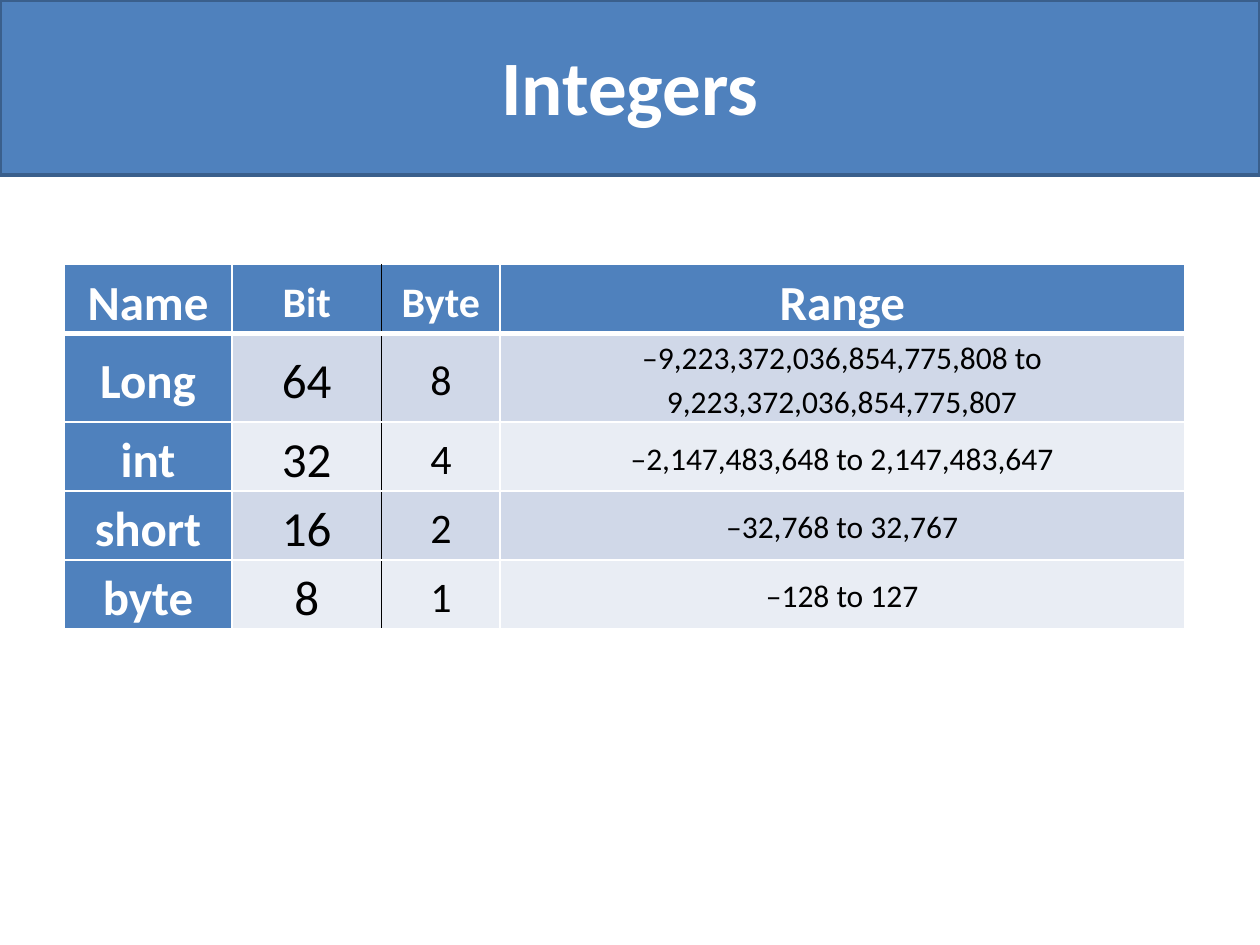
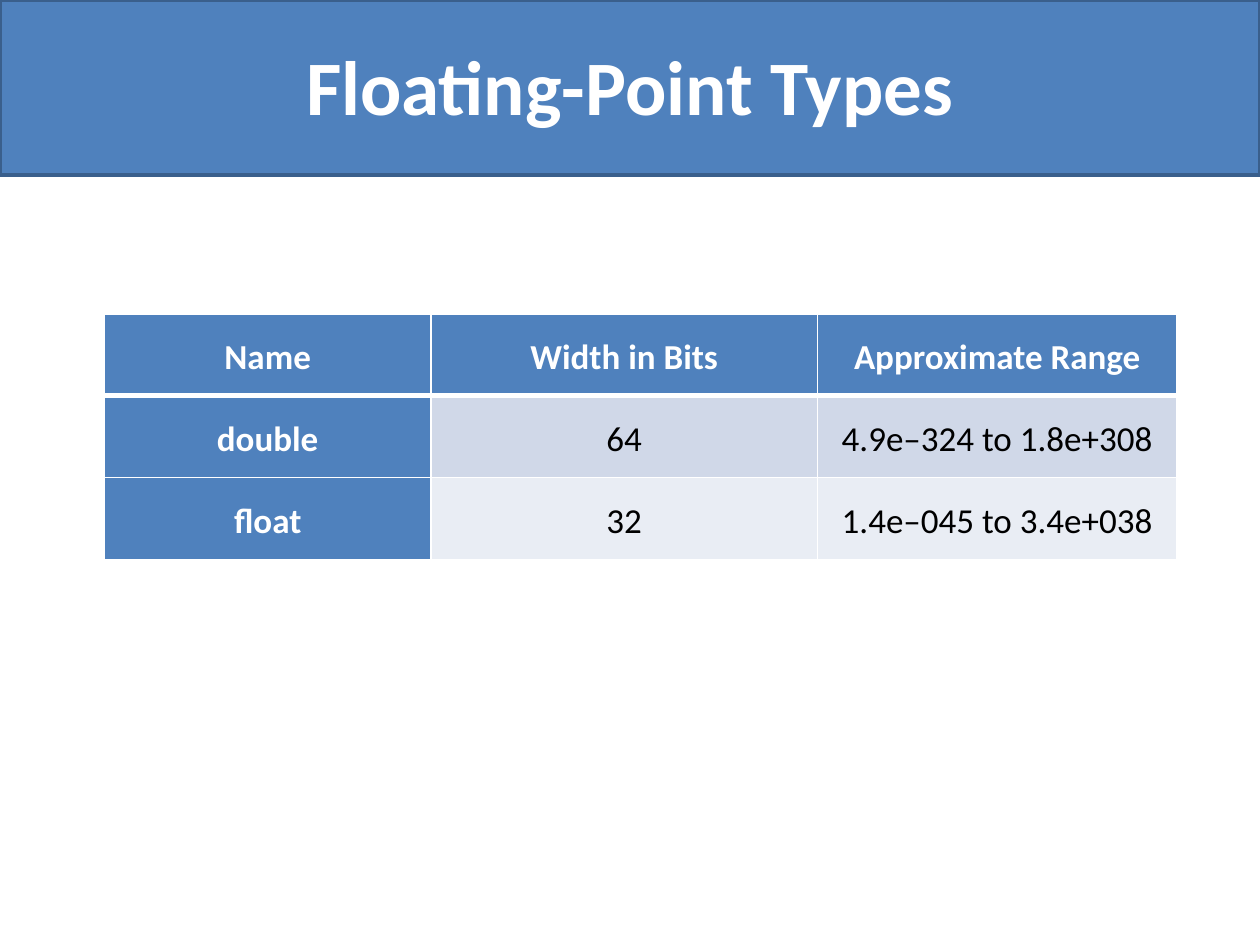
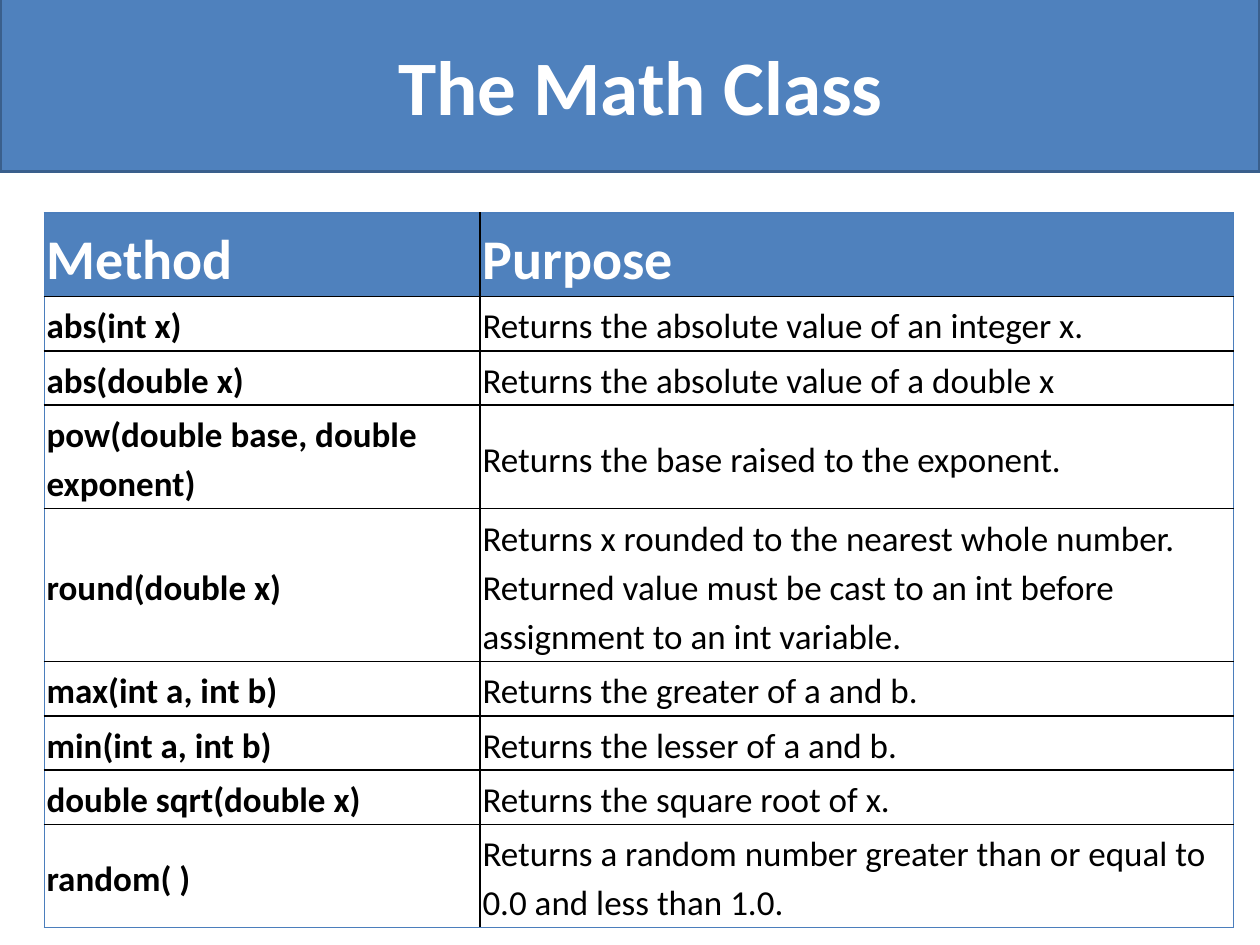
from lxml import etree
from pptx import Presentation
from pptx import util as u
from pptx.dml.color import RGBColor
from pptx.enum import shapes, text
from pptx.oxml import ns

# Shared style
FONT = "Calibri"
BLUE, EDGE, RULE = "4F81BD", "3A5F8C", "4B7EBC"
WHITE, BLACK = "FFFFFF", "000000"
BANDS = ["D0D8E8", "E9EDF4"]
CENTER, LEFT = text.PP_ALIGN.CENTER, text.PP_ALIGN.LEFT
TITLE_ONLY = 5


def color(value):
    return RGBColor.from_string(value)


def format_text(paragraph, size, ink, bold, align, spacing=None):
    paragraph.alignment = align
    if spacing:
        paragraph.line_spacing = spacing
    values = {"name": FONT, "size": u.Pt(size), "bold": bold}
    for run in paragraph.runs:
        for name, value in values.items():
            setattr(run.font, name, value)
        run.font.color.rgb = color(ink)


def add_border(cell, side, ink, width):
    properties = cell._tc.get_or_add_tcPr()
    line = etree.SubElement(properties, ns.qn(f"a:ln{side}"), w=str(u.Pt(width)))
    fill = etree.SubElement(line, ns.qn("a:solidFill"))
    etree.SubElement(fill, ns.qn("a:srgbClr"), val=ink)


class Deck:
    def __init__(self):
        self.presentation = Presentation()
        self.presentation.slide_width = u.Inches(10)
        self.presentation.slide_height = u.Inches(7.5)
        self.slide = None

    def add_slide(self, title, band_top=0):
        layout = self.presentation.slide_layouts[TITLE_ONLY]
        self.slide = self.presentation.slides.add_slide(layout)
        self.title(title, self.band(band_top))

    def band(self, top):
        band = self.slide.shapes.add_shape(
            shapes.MSO_SHAPE.RECTANGLE, 0, u.Inches(top), u.Inches(10), u.Inches(1.39))
        band.shadow.inherit = False
        band.fill.solid()
        band.fill.fore_color.rgb = color(BLUE)
        band.line.color.rgb = color(EDGE)
        band.line.width = u.Pt(2)
        return band

    def title(self, words, band):
        title = self.slide.shapes.title
        place = {"left": 0.5, "top": 0.05, "width": 9, "height": 1.25}
        for name, value in place.items():
            setattr(title, name, u.Inches(value))
        title.text_frame.text = words
        title.text_frame.vertical_anchor = text.MSO_ANCHOR.MIDDLE
        paragraph = title.text_frame.paragraphs[0]
        format_text(paragraph, 44, WHITE, True, CENTER)
        paragraph._p.get_or_add_pPr().set("rtl", "1")
        # The band lies behind the title
        title.element.addprevious(band.element)

    def table(self, left, top, widths, heights, rows, style, verticals, horizontals,
              inset, align):
        """Lines are (colour, width), one for each grid line; style maps a cell to its look."""
        frame = self.slide.shapes.add_table(
            len(rows), len(widths), u.Inches(left), u.Inches(top),
            u.Inches(sum(widths)), u.Inches(sum(heights)))
        table = frame.table
        table.first_row = table.horz_banding = False
        for column, width in zip(table.columns, widths):
            column.width = u.Inches(width)
        for row, height in zip(table.rows, heights):
            row.height = u.Inches(height)

        across, down = inset
        values = {"margin_left": u.Inches(across), "margin_right": u.Inches(across),
                  "margin_top": u.Inches(down), "margin_bottom": u.Inches(down),
                  "vertical_anchor": text.MSO_ANCHOR.MIDDLE}
        for r, words in enumerate(rows):
            for c, word in enumerate(words):
                cell = table.cell(r, c)
                cell.text = word
                for name, value in values.items():
                    setattr(cell, name, value)
                sides = {"L": verticals[c], "R": verticals[c + 1],
                         "T": horizontals[r], "B": horizontals[r + 1]}
                for side, line in sides.items():
                    add_border(cell, side, *line)
                fill, size, ink, bold = style(r, c)
                if fill:
                    cell.fill.solid()
                    cell.fill.fore_color.rgb = color(fill)
                else:
                    cell.fill.background()
                format_text(cell.text_frame.paragraphs[0], size, ink, bold, align, 1.15)

    def type_table(self, left, top, widths, height, rows, head_sizes, body_sizes, verticals):
        """Banded table with a blue header row and a blue first column."""
        def style(r, c):
            size = body_sizes[c] if r else head_sizes[c]
            if r == 0 or c == 0:
                return BLUE, size, WHITE, True
            return BANDS[(r - 1) % 2], size, BLACK, False

        horizontals = [(WHITE, 1), (WHITE, 3)] + [(WHITE, 1)] * (len(rows) - 1)
        self.table(left, top, widths, [height] * len(rows), rows, style,
                   verticals, horizontals, (0.07, 0), CENTER)


def integers(deck):
    deck.add_slide("Integers")
    rows = [
        ("Name", "Bit", "Byte", "Range"),
        ("Long", "64", "8", "–9,223,372,036,854,775,808 to 9,223,372,036,854,775,807"),
        ("int", "32", "4", "–2,147,483,648 to 2,147,483,647"),
        ("short", "16", "2", "–32,768 to 32,767"),
        ("byte", "8", "1", "–128 to 127"),
    ]
    verticals = [(WHITE, 1)] * 2 + [(BLACK, 1)] + [(WHITE, 1)] * 2
    deck.type_table(0.51, 2.1, [1.33, 1.19, 0.94, 5.43], 0.54, rows,
                    [28, 24, 24, 28], [28, 28, 24, 18], verticals)


def floating_point(deck):
    deck.add_slide("Floating-Point Types")
    rows = [
        ("Name", "Width in Bits", "Approximate Range"),
        ("double", "64", "4.9e–324 to 1.8e+308"),
        ("float", "32", "1.4e–045 to 3.4e+038"),
    ]
    deck.type_table(0.83, 2.49, [2.59, 3.07, 2.85], 0.65, rows,
                    [20] * 3, [20] * 3, [(WHITE, 1)] * 4)


def math_class(deck):
    deck.add_slide("The Math Class ", band_top=-0.03)
    rows = [
        ("Method", "Purpose"),
        ("abs(int x)", "Returns the absolute value of an integer x."),
        ("abs(double x)", "Returns the absolute value of a double x"),
        ("pow(double base, double exponent)", "Returns the base raised to the exponent."),
        ("round(double x)", "Returns x rounded to the nearest whole number.  Returned value "
                            "must be cast to an int before assignment to an int variable."),
        ("max(int a, int b)", "Returns the greater of a and b."),
        ("min(int a, int b)", "Returns the lesser of a and b."),
        ("double sqrt(double x)", "Returns the square root of x."),
        ("random( )", "Returns a random number greater than or equal to 0.0 "
                      "and less than 1.0."),
    ]

    def style(r, c):
        if r == 0:
            return BLUE, 32, WHITE, True
        return None, 20, BLACK, c == 0

    outer, inner = (RULE, 0.75), (BLACK, 1)
    # Rows grow where the text wraps
    heights = [0.66] + [0.43] * (len(rows) - 1)
    deck.table(0.35, 1.69, [3.46, 5.98], heights, rows, style, [outer, inner, outer],
               [outer] + [inner] * (len(rows) - 1) + [outer], (0.02, 0.02), LEFT)


def main():
    deck = Deck()
    for build in (integers, floating_point, math_class):
        build(deck)
    deck.presentation.save("out.pptx")


if __name__ == "__main__":
    main()
